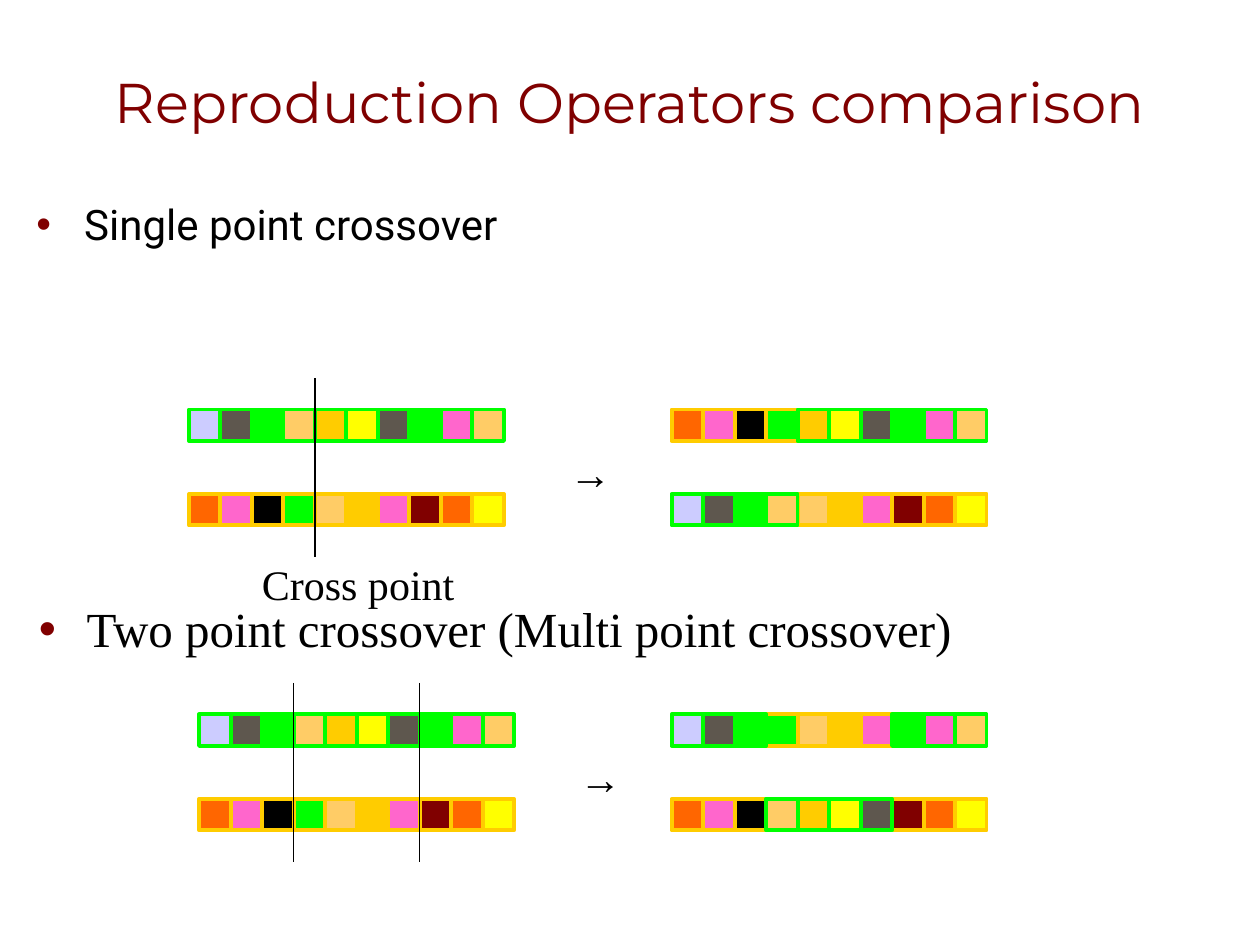
"""Build a slide that compares single point and two point crossover."""
import pptx
import pptx.util
import pptx.dml.color
import pptx.enum.shapes
import pptx.enum.text
import pptx.oxml.ns
import lxml.etree

Inches = pptx.util.Inches
Pt = pptx.util.Pt
RGB = pptx.dml.color.RGBColor.from_string
qn = pptx.oxml.ns.qn

HUES = {
    "maroon": "800000", "black": "000000", "orange": "FF6600",
    "pink": "FF66CC", "lime": "00FF00", "sand": "FFCC66",
    "gold": "FFCC00", "yellow": "FFFF00", "lilac": "CCCCFF",
    "gray": "5E574E",
}
CELL = 0.25
ROW = 0.67
CHILD = 5.33
SERIF = "Times New Roman"

LIME = [(hue, "lime") for hue in (
    "lilac", "gray", "lime", "sand", "gold",
    "yellow", "gray", "lime", "pink", "sand")]
GOLD = [(hue, "gold") for hue in (
    "orange", "pink", "black", "lime", "sand",
    "gold", "pink", "maroon", "orange", "yellow")]


def cross(first, second, start, end):
    return first[:start] + second[start:end] + first[end:]


class Deck:
    def __init__(self):
        self.prs = pptx.Presentation()
        self.prs.slide_width = Inches(10)
        self.prs.slide_height = Inches(7.5)
        self.slide = self.prs.slides.add_slide(self.prs.slide_layouts[5])
        self.shapes = self.slide.shapes

    def words(self, para, text, size, font, hue="black"):
        run = para.add_run()
        run.text = text
        run.font.size = Pt(size)
        run.font.name = font
        run.font.color.rgb = RGB(HUES[hue])

    def title(self, text):
        box = self.shapes.title
        box.left, box.top = Inches(0), Inches(0)
        box.width, box.height = Inches(10), Inches(1.12)
        box.text_frame.vertical_anchor = pptx.enum.text.MSO_ANCHOR.BOTTOM
        para = box.text_frame.paragraphs[0]
        para.alignment = pptx.enum.text.PP_ALIGN.CENTER
        self.words(para, text, 32, "Montserrat", "maroon")

    def label(self, text, left, top, width, height=0.5, size=24,
              font=SERIF, wrap=False):
        box = self.shapes.add_textbox(
            Inches(left), Inches(top), Inches(width), Inches(height))
        box.text_frame.word_wrap = wrap
        para = box.text_frame.paragraphs[0]
        self.words(para, text, size, font)
        return para

    def bullet(self, text, left, top, width, height, size, font, space=1.0):
        para = self.label(text, left, top, width, height, size, font, True)
        para.line_spacing = space
        props = para._p.get_or_add_pPr()
        props.set("marL", str(Inches(0.38)))
        props.set("indent", str(-Inches(0.38)))
        tint = lxml.etree.SubElement(props, qn("a:buClr"))
        lxml.etree.SubElement(tint, qn("a:srgbClr"), val=HUES["maroon"])
        lxml.etree.SubElement(props, qn("a:buFont"), typeface="Arial")
        lxml.etree.SubElement(props, qn("a:buChar"), char="•")

    def strand(self, genes, left, top):
        group = self.shapes.add_group_shape()
        order = sorted(enumerate(genes), key=lambda gene: gene[1][1])
        for spot, (fill, edge) in order:
            cell = group.shapes.add_shape(
                pptx.enum.shapes.MSO_SHAPE.RECTANGLE,
                Inches(left + spot * CELL), Inches(top),
                Inches(CELL), Inches(CELL))
            cell.shadow.inherit = False
            cell.fill.solid()
            cell.fill.fore_color.rgb = RGB(HUES[fill])
            cell.line.color.rgb = RGB(HUES[edge])
            cell.line.width = Pt(2.25)

    def cut(self, left, top):
        line = self.shapes.add_connector(
            pptx.enum.shapes.MSO_CONNECTOR.STRAIGHT,
            Inches(left), Inches(top), Inches(left), Inches(top + 1.42))
        line.line.color.rgb = RGB(HUES["black"])
        line.line.width = Pt(1)
        lxml.etree.SubElement(line._element.spPr, qn("a:effectLst"))

    def stage(self, left, top, kids, cuts):
        for row, (parent, kid) in enumerate(zip((LIME, GOLD), kids)):
            self.strand(parent, left, top + row * ROW)
            self.strand(kid, CHILD, top + row * ROW)
        for spot in cuts:
            self.cut(left + spot * CELL, top - 0.25)
        self.label("→", left + 2.92, top + 0.25, 0.53)


def main():
    deck = Deck()
    deck.title("Reproduction Operators comparison")
    deck.bullet("Single point crossover", 0.19, 1.53, 9.55, 0.86, 24, "Roboto")
    deck.stage(1.5, 3.25,
               (cross(LIME, GOLD, 0, 4), cross(GOLD, LIME, 0, 4)), (4,))
    deck.label("Cross point", 1.98, 4.38, 1.73)
    deck.bullet("Two point crossover (Multi point crossover)",
                0.21, 4.75, 8.5, 0.67, 28, SERIF, 0.9)
    deck.stage(1.58, 5.67,
               (cross(LIME, GOLD, 3, 7), cross(GOLD, LIME, 3, 7)), (3, 7))
    deck.prs.save("out.pptx")


if __name__ == "__main__":
    main()
